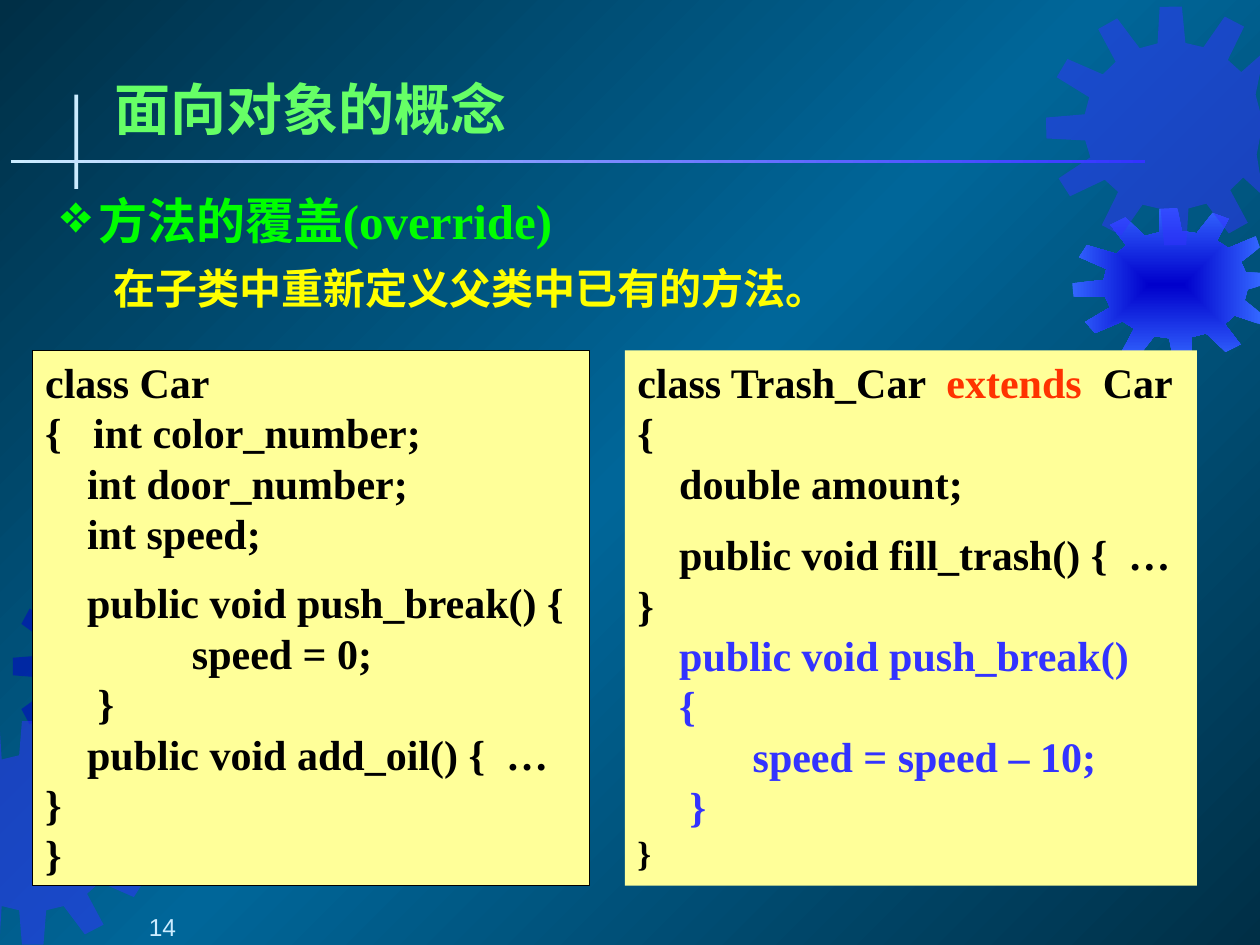
from dataclasses import dataclass
from math import cos, radians, sin

from lxml.etree import SubElement
from pptx import Presentation
from pptx.dml.color import RGBColor
from pptx.enum.shapes import MSO_SHAPE
from pptx.enum.text import MSO_ANCHOR, PP_ALIGN
from pptx.oxml.ns import qn
from pptx.util import Inches, Pt

SLIDE_WIDTH, SLIDE_HEIGHT = 10, 7.5
GEAR_TEETH = 12
GEAR_ROOT = 0.7  # radius between the teeth, as a share of the outer radius
# One tooth, clockwise: (degrees from the middle of the tooth, share of the radius)
TOOTH_PROFILE = [(-9, GEAR_ROOT), (-5, 1), (5, 1), (9, GEAR_ROOT)]
PANEL_TOP, PANEL_HEIGHT = 2.78, 4.25


@dataclass(frozen=True)
class Theme:
    background_dark: str = "002F46"
    background_light: str = "006699"
    gear_dark: str = "0000CC"
    gear_blue: str = "3333FF"
    gear_edge: str = "3366FF"
    pale: str = "CCECFF"
    panel: str = "FFFF99"
    title: str = "66FF66"
    heading: str = "00FF00"
    detail: str = "FFFF00"
    code: str = "000000"
    keyword: str = "FF3300"
    override: str = "3333FF"
    title_size: float = 32
    heading_size: float = 28
    body_size: float = 24
    brace_size: float = 20
    number_size: float = 14
    line_height: float = 1.2
    serif: str = "Times New Roman"
    chinese: str = "Noto Sans CJK SC"
    sans: str = "Arial"


THEME = Theme()


def gear_outline(center_x, center_y, radius_x, radius_y, turn):
    """Return the corners of an elliptical gear, cut off at the sides of the slide."""
    corners = []
    for tooth in range(GEAR_TEETH):
        for offset, share in TOOTH_PROFILE:
            angle = radians(tooth * 360 / GEAR_TEETH + offset + turn)
            x = center_x + radius_x * share * sin(angle)
            y = center_y - radius_y * share * cos(angle)
            corners.append((Inches(min(max(x, 0), SLIDE_WIDTH)), Inches(y)))
    return corners


class SlideBuilder:
    def __init__(self, slide, theme):
        self.slide = slide
        self.theme = theme

    def gradient(self, fill, element, stops, angle=None):
        """Fill with (percent, colour) stops; without an angle, spread from the centre."""
        fill.gradient()
        gradient = element.find(".//" + qn("a:gradFill"))
        for child in list(gradient):
            gradient.remove(child)
        stop_list = SubElement(gradient, qn("a:gsLst"))
        for percent, color in stops:
            stop = SubElement(stop_list, qn("a:gs"), pos=str(percent * 1000))
            SubElement(stop, qn("a:srgbClr"), val=color)
        if angle is None:
            spread = SubElement(gradient, qn("a:path"), path="rect")
            SubElement(spread, qn("a:fillToRect"), l="50000", t="50000", r="50000", b="50000")
        else:
            SubElement(gradient, qn("a:lin"), ang=str(angle * 60000), scaled="0")

    def background(self):
        theme = self.theme
        stops = [(0, theme.background_dark), (50, theme.background_light), (100, theme.background_dark)]
        self.gradient(self.slide.background.fill, self.slide.element, stops, 225)

    def gear(self, center_x, center_y, radius_x, radius_y, turn=0, color=None):
        """Draw a half-transparent gear, or one shaded from its centre when no colour is given."""
        first, *rest = gear_outline(center_x, center_y, radius_x, radius_y, turn)
        builder = self.slide.shapes.build_freeform(*first)
        builder.add_line_segments(rest, close=True)
        shape = builder.convert_to_shape()
        shape.shadow.inherit = False
        shape.line.fill.background()
        if color:
            shape.fill.solid()
            shape.fill.fore_color.rgb = RGBColor.from_string(color)
            SubElement(shape.element.find(".//" + qn("a:srgbClr")), qn("a:alpha"), val="50000")
        else:
            stops = [(0, self.theme.gear_dark), (100, self.theme.gear_edge)]
            self.gradient(shape.fill, shape.element, stops)

    def rectangle(self, left, top, width, height, color, outline=None):
        box = [Inches(value) for value in (left, top, width, height)]
        shape = self.slide.shapes.add_shape(MSO_SHAPE.RECTANGLE, *box)
        shape.shadow.inherit = False
        shape.fill.solid()
        shape.fill.fore_color.rgb = RGBColor.from_string(color)
        if outline:
            shape.line.color.rgb = RGBColor.from_string(outline)
            shape.line.width = Pt(0.75)
        else:
            shape.line.fill.background()
        return shape

    def set_frame(self, frame, anchor, side, edge):
        frame.word_wrap = True
        frame.vertical_anchor = anchor
        frame.margin_left = frame.margin_right = Inches(side)
        frame.margin_top = frame.margin_bottom = Inches(edge)

    def text_box(self, left, top, width, height, text, anchor, side=0.04, edge=0.04):
        """Add a text box and return its paragraphs."""
        box = [Inches(value) for value in (left, top, width, height)]
        frame = self.slide.shapes.add_textbox(*box).text_frame
        self.set_frame(frame, anchor, side, edge)
        frame.text = text
        return frame.paragraphs

    def style(self, run, size, color, font, bold=True):
        run.font.size = Pt(size)
        run.font.bold = bold
        run.font.name = font
        run.font.color.rgb = RGBColor.from_string(color)
        SubElement(run.font._element, qn("a:ea"), typeface=self.theme.chinese)

    def indent(self, paragraph, left, first=0):
        properties = paragraph._p.get_or_add_pPr()
        properties.set("marL", str(Inches(left)))
        properties.set("indent", str(Inches(first)))
        return properties

    def bullet(self, paragraph, symbol, color, percent, width):
        properties = self.indent(paragraph, width, -width)
        SubElement(SubElement(properties, qn("a:buClr")), qn("a:srgbClr"), val=color)
        SubElement(properties, qn("a:buSzPct"), val=str(percent * 1000))
        SubElement(properties, qn("a:buChar"), char=symbol)

    def code_panel(self, left, width, lines, outline=None):
        """Show lines given as (runs, size, space before), each run a (text, colour) pair."""
        panel = self.rectangle(left, PANEL_TOP, width, PANEL_HEIGHT, self.theme.panel, outline)
        frame = panel.text_frame
        self.set_frame(frame, MSO_ANCHOR.TOP, 0.1, 0.05)
        for index, (runs, size, space) in enumerate(lines):
            paragraph = frame.add_paragraph() if index else frame.paragraphs[0]
            paragraph.alignment = PP_ALIGN.LEFT
            paragraph.line_spacing = Pt(size * self.theme.line_height)
            paragraph.space_before = Pt(space)
            for text, color in runs:
                run = paragraph.add_run()
                run.text = text
                self.style(run, size, color, self.theme.serif)


def code_line(text, color=THEME.code, size=THEME.body_size, space=0):
    return [(text, color)], size, space


CAR_LINES = [
    code_line("class Car"),
    code_line("{   int color_number;"),
    code_line("    int door_number;"),
    code_line("    int speed;"),
    code_line("    public void push_break() {", space=10.8),
    code_line("              speed = 0;"),
    code_line("     }"),
    code_line("    public void add_oil() {  …   }"),
    code_line("}"),
]
CLASS_RUNS = [("class Trash_Car ", THEME.code), (" extends  ", THEME.keyword), ("Car", THEME.code)]
OVERRIDE_CODE = ["    public void push_break()", "    {", "           speed = speed – 10;", "     }"]
TRASH_CAR_LINES = [
    (CLASS_RUNS, THEME.body_size, 0),
    code_line("{"),
    code_line("    double amount;"),
    code_line("    public void fill_trash() {  …  }", space=12),
    *[code_line(text, THEME.override) for text in OVERRIDE_CODE],
    code_line("}", size=THEME.brace_size),
]


def main():
    presentation = Presentation()
    presentation.slide_width, presentation.slide_height = Inches(SLIDE_WIDTH), Inches(SLIDE_HEIGHT)
    slide = presentation.slides.add_slide(presentation.slide_layouts[6])
    builder = SlideBuilder(slide, THEME)

    builder.background()
    builder.gear(0.85, 5.29, 0.75, 0.8, color=THEME.gear_dark)
    builder.gear(0.26, 6.61, 0.98, 0.89, color=THEME.gear_blue)
    builder.gear(9.33, 2.26, 0.82, 0.61, turn=-4)
    builder.gear(9.31, 1, 1.01, 0.95, turn=-1, color=THEME.gear_blue)
    builder.rectangle(0.59, 0.75, 0.03, 0.75, THEME.pale)
    rule = builder.rectangle(0.09, 1.27, 9, 0.02, THEME.pale)
    builder.gradient(rule.fill, rule.element, [(0, THEME.gear_blue), (100, THEME.pale)], 180)

    builder.code_panel(0.26, 4.42, CAR_LINES, THEME.code)
    builder.code_panel(4.96, 4.54, TRASH_CAR_LINES)

    [title] = builder.text_box(0.87, 0.54, 8.84, 0.63, "面向对象的概念", MSO_ANCHOR.MIDDLE)
    builder.style(title.runs[0], THEME.title_size, THEME.title, THEME.chinese)

    body_text = "方法的覆盖(override)\n在子类中重新定义父类中已有的方法。"
    heading, detail = builder.text_box(0.44, 1.47, 9.05, 1.05, body_text, MSO_ANCHOR.TOP)
    builder.bullet(heading, "❖", THEME.heading, percent=110, width=0.3)
    builder.style(heading.runs[0], THEME.heading_size, THEME.heading, THEME.serif)
    builder.indent(detail, 0.42)
    detail.space_before = Pt(7.5)
    builder.style(detail.runs[0], THEME.body_size, THEME.detail, THEME.serif)

    [number] = builder.text_box(0, 7.05, 2.08, 0.42, "14", MSO_ANCHOR.BOTTOM, side=0.1, edge=0)
    builder.indent(number, 0.5)
    number.alignment = PP_ALIGN.CENTER
    builder.style(number.runs[0], THEME.number_size, THEME.pale, THEME.sans, bold=False)

    presentation.save("out.pptx")


if __name__ == "__main__":
    main()
